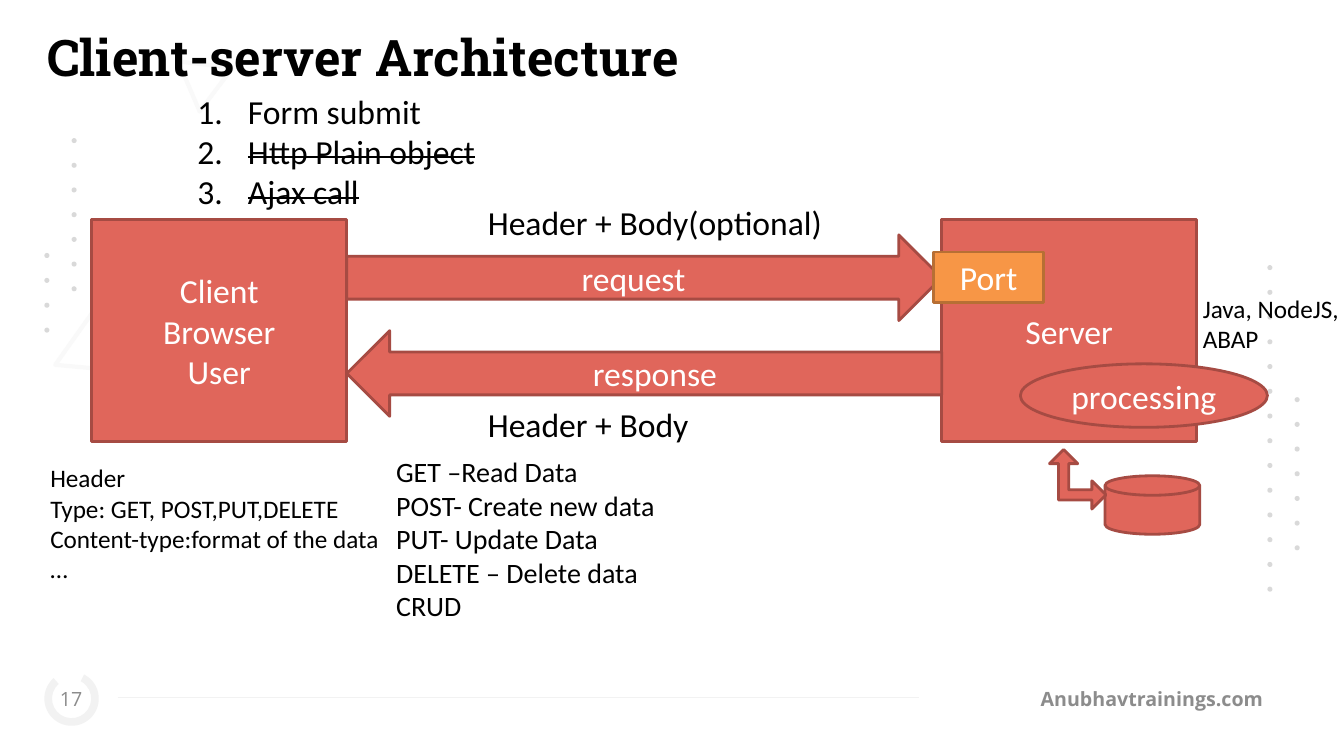
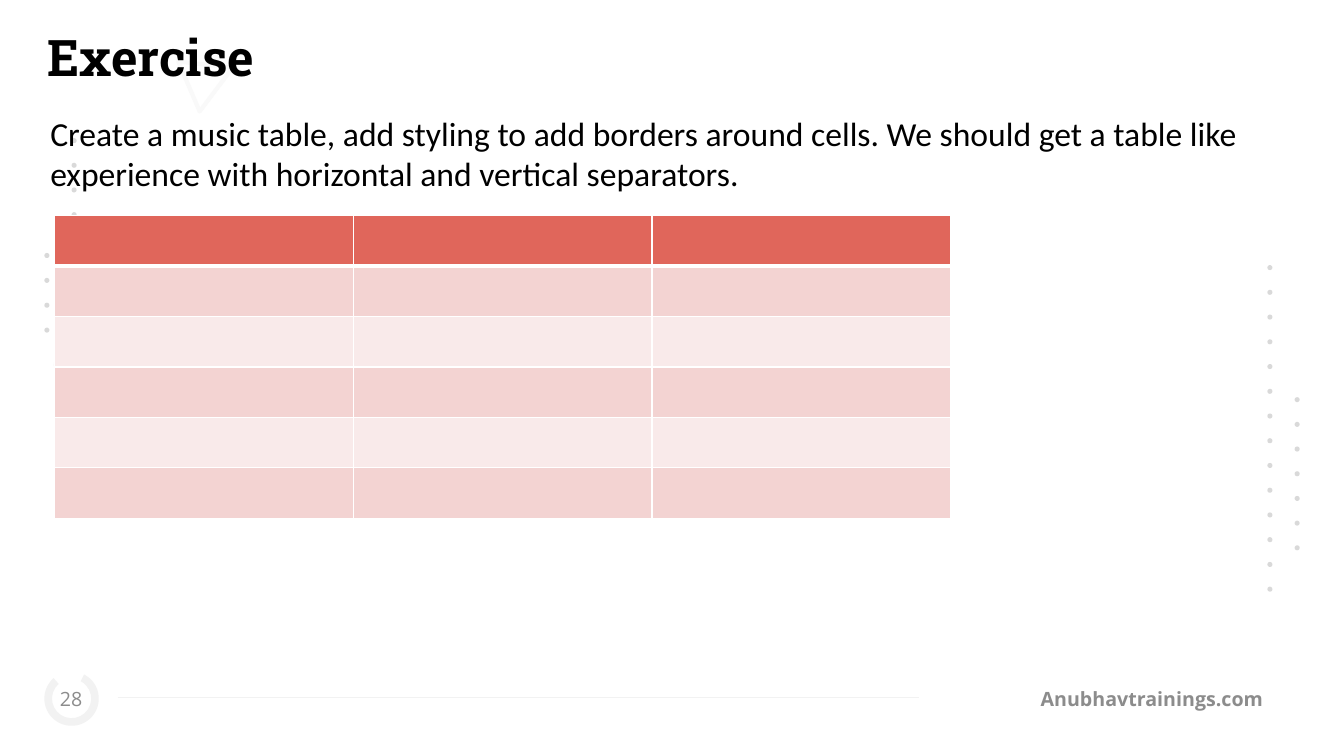
from dataclasses import dataclass

from lxml import etree
from pptx import Presentation
from pptx.dml.color import RGBColor
from pptx.enum.shapes import MSO_CONNECTOR, MSO_SHAPE
from pptx.enum.text import MSO_ANCHOR, PP_ALIGN
from pptx.oxml.ns import qn
from pptx.util import Inches, Pt


@dataclass(frozen=True)
class Theme:
    black: str = "000000"
    white: str = "FFFFFF"
    red: str = "E0665B"
    red_edge: str = "A64B43"
    orange: str = "F79646"
    orange_edge: str = "B76F34"
    band_dark: str = "F3D3D2"
    band_light: str = "F9EAEA"
    pale: str = "F2F2F2"
    dot: str = "D9D9D9"
    footer: str = "8C8C8C"
    body_font: str = "Calibri"
    title_font: str = "Roboto Slab"
    footer_font: str = "Open Sans"
    title_size: int = 36
    body_size: int = 24
    list_size: int = 20
    note_size: int = 18
    footer_size: int = 14


THEME = Theme()
SLIDE_WIDTH, SLIDE_HEIGHT = 13.33, 7.5
FOOTER = "Anubhavtrainings.com"

# Decoration: left, first top, last top, number of dots
DOT_COLUMNS = [(12.84, 3.94, 5.41, 7), (12.57, 2.63, 5.82, 14),
               (0.71, 1.37, 2.84, 7), (0.44, 2.51, 3.25, 4)]
DOT_SIZE = 0.05
# Decoration: left, top, width, height, rotation
TRIANGLES = [(1.82, 0.53, 0.54, 0.47, 66.8), (0.58, 2.92, 0.86, 0.74, 5.2)]

# Diagram grid
BOX_TOP, BOX_WIDTH, BOX_HEIGHT = 2.18, 2.53, 2.2
CLIENT_LEFT, SERVER_LEFT = 0.91, 9.34
ARROW_LEFT, ARROW_HEIGHT = CLIENT_LEFT + BOX_WIDTH, 0.85
ARROW_WIDTH = SERVER_LEFT - ARROW_LEFT
REQUEST_TOP, RESPONSE_TOP = 2.33, 3.28
CAPTION_LEFT, CAPTION_WIDTH = 4.74, 3.78
LANGUAGES_LEFT = 11.93

RED = (THEME.red, THEME.red_edge)
ORANGE = (THEME.orange, THEME.orange_edge)
DIAGRAM = [
    (MSO_SHAPE.RECTANGLE, (CLIENT_LEFT, BOX_TOP, BOX_WIDTH, BOX_HEIGHT), RED,
     ["Client", "Browser", "User"]),
    (MSO_SHAPE.RECTANGLE, (SERVER_LEFT, BOX_TOP, BOX_WIDTH, BOX_HEIGHT), RED, ["Server"]),
    (MSO_SHAPE.RIGHT_ARROW, (ARROW_LEFT, REQUEST_TOP, ARROW_WIDTH, ARROW_HEIGHT), RED,
     ["request"]),
    (MSO_SHAPE.RECTANGLE, (9.26, 2.5, 1.09, 0.5), ORANGE, ["Port"]),
    (MSO_SHAPE.OVAL, (10.12, 3.61, 2.45, 0.63), RED, ["processing"]),
    (MSO_SHAPE.FLOWCHART_MAGNETIC_DISK, (10.96, 4.72, 0.94, 0.58), RED, []),
    (MSO_SHAPE.LEFT_ARROW, (ARROW_LEFT, RESPONSE_TOP, ARROW_WIDTH, ARROW_HEIGHT), RED,
     ["response"]),
]
DATABASE_ARROW = (10.41, 4.46, 0.56, 0.59)
CAPTIONS = [
    ((CAPTION_LEFT, 1.95, CAPTION_WIDTH, 0.5), THEME.body_size, ["Header + Body(optional)"]),
    ((CAPTION_LEFT, 3.96, CAPTION_WIDTH, 0.5), THEME.body_size, ["Header + Body"]),
    ((0.4, 4.54, 3.78, 1.31), THEME.note_size,
     ["Header", "Type: GET, POST,PUT,DELETE", "Content-type:format of the data", "…"]),
    ((3.83, 4.46, 4.42, 1.78), THEME.list_size,
     ["GET –Read Data", "POST- Create new data", "PUT- Update Data",
      "DELETE – Delete data", "CRUD"]),
]
LANGUAGES = ["Java, NodeJS,", "ABAP"]
# Way to call the server, struck out
CALL_TYPES = [("Form submit", False), ("Http Plain object", True), ("Ajax call", True)]

EXERCISE = ("Create a music table, add styling to add borders around cells. We should get "
            "a table like experience with horizontal and vertical separators.")
TABLE_AREA = (0.54, 2.14, 8.89, 3)
TABLE_ROWS, TABLE_COLUMNS = 6, 3


def rgb(color):
    return RGBColor.from_string(color)


def inches(lengths):
    return [Inches(length) for length in lengths]


def write(shape, lines, size=THEME.body_size, color=THEME.black, font=THEME.body_font,
          bold=False, align=PP_ALIGN.LEFT):
    frame = shape.text_frame
    frame.text = "\n".join(lines)
    for paragraph in frame.paragraphs:
        paragraph.alignment = align
        for run in paragraph.runs:
            run.font.size = Pt(size)
            run.font.name = font
            run.font.bold = bold
            run.font.color.rgb = rgb(color)


def add_text(slide, area, lines, anchor=MSO_ANCHOR.TOP, insets=(0.1, 0.05), **style):
    """Add a wrapping text box; insets are the side and the top and bottom margins."""
    box = slide.shapes.add_textbox(*inches(area))
    frame = box.text_frame
    frame.word_wrap = True
    frame.vertical_anchor = anchor
    frame.margin_left = frame.margin_right = Inches(insets[0])
    frame.margin_top = frame.margin_bottom = Inches(insets[1])
    write(box, lines, **style)
    return box


def add_shape(slide, preset, area, fill=None, edge=None, edge_width=2):
    shape = slide.shapes.add_shape(preset, *inches(area))
    shape.shadow.inherit = False
    if fill:
        shape.fill.solid()
        shape.fill.fore_color.rgb = rgb(fill)
    else:
        shape.fill.background()
    if edge:
        shape.line.color.rgb = rgb(edge)
        shape.line.width = Pt(edge_width)
    else:
        shape.line.fill.background()
    return shape


def add_decoration(slide):
    ring = add_shape(slide, MSO_SHAPE.BLOCK_ARC, (0.44, 6.66, 0.54, 0.54), THEME.pale)
    ring.rotation = 228.7
    for index, value in enumerate((41.31, 0, 0.14)):
        ring.adjustments[index] = value

    rule = slide.shapes.add_connector(MSO_CONNECTOR.STRAIGHT, *inches((1.17, 6.92, 9.11, 6.92)))
    rule.line.color.rgb = rgb(THEME.pale)
    rule.line.width = Pt(0.75)
    etree.SubElement(rule._element.spPr, qn("a:effectLst"))

    for *area, rotation in TRIANGLES:
        triangle = add_shape(slide, MSO_SHAPE.ISOSCELES_TRIANGLE, area,
                             edge=THEME.dot, edge_width=3)
        triangle.rotation = rotation
        color = triangle._element.spPr.find(".//" + qn("a:ln")).find(".//" + qn("a:srgbClr"))
        etree.SubElement(color, qn("a:alpha"), val="14000")

    for left, first, last, count in DOT_COLUMNS:
        step = (last - first) / (count - 1)
        for index in range(count):
            add_shape(slide, MSO_SHAPE.OVAL,
                      (left, first + index * step, DOT_SIZE, DOT_SIZE), THEME.dot)


def add_base_slide(presentation, title, number):
    """Add a slide with the shared decoration, footer, number and title."""
    slide = presentation.slides.add_slide(presentation.slide_layouts[6])
    add_decoration(slide)
    footer_style = dict(anchor=MSO_ANCHOR.MIDDLE, size=THEME.footer_size,
                        color=THEME.footer, font=THEME.footer_font)
    add_text(slide, (9.26, 6.73, 3.4, 0.4), [FOOTER], insets=(0.13, 0.07),
             bold=True, align=PP_ALIGN.RIGHT, **footer_style)
    add_text(slide, (0.5, 6.73, 0.41, 0.4), [str(number)], insets=(0, 0.07),
             align=PP_ALIGN.CENTER, **footer_style)
    add_text(slide, (0.37, 0.21, 12.52, 0.71), [title], size=THEME.title_size,
             font=THEME.title_font, bold=True)
    return slide


def add_call_types(slide):
    box = add_text(slide, (1.86, 0.85, 4.18, 1.31), [text for text, _ in CALL_TYPES])
    for paragraph, (_, struck) in zip(box.text_frame.paragraphs, CALL_TYPES):
        properties = paragraph._p.get_or_add_pPr()
        properties.set("marL", str(Inches(0.5)))
        properties.set("indent", str(-Inches(0.5)))
        etree.SubElement(properties, qn("a:buFont"), typeface="+mj-lt")
        etree.SubElement(properties, qn("a:buAutoNum"), type="arabicPeriod")
        if struck:
            paragraph.runs[0].font._element.set("strike", "sngStrike")


def build_architecture(presentation):
    slide = add_base_slide(presentation, "Client-server Architecture", 17)
    for preset, area, colors, lines in DIAGRAM:
        shape = add_shape(slide, preset, area, *colors)
        shape.text_frame.vertical_anchor = MSO_ANCHOR.MIDDLE
        if lines:
            write(shape, lines, color=THEME.white, align=PP_ALIGN.CENTER)

    arrow = add_shape(slide, MSO_SHAPE.LEFT_UP_ARROW, DATABASE_ARROW, *RED)
    arrow.adjustments[0] = 0.18
    arrow._element.spPr.find(qn("a:xfrm")).set("flipH", "1")

    for area, size, lines in CAPTIONS:
        add_text(slide, area, lines, size=size)
    add_text(slide, (LANGUAGES_LEFT, 2.86, SLIDE_WIDTH - LANGUAGES_LEFT, 0.71), LANGUAGES,
             insets=(0, 0.05), size=THEME.note_size)
    add_call_types(slide)


def set_borders(cell, top, bottom):
    """Draw white cell borders; the widths are in points."""
    properties = cell._tc.get_or_add_tcPr()
    sides = [("L", 1), ("R", 1), ("T", top), ("B", bottom)]
    for index, (side, width) in enumerate(sides):
        line = etree.Element(qn("a:ln" + side), w=str(Pt(width)))
        fill = etree.SubElement(line, qn("a:solidFill"))
        etree.SubElement(fill, qn("a:srgbClr"), val=THEME.white)
        properties.insert(index, line)


def build_exercise(presentation):
    slide = add_base_slide(presentation, "Exercise", 28)
    add_text(slide, (0.4, 1.07, 12.52, 0.91), [EXERCISE])
    table = slide.shapes.add_table(TABLE_ROWS, TABLE_COLUMNS, *inches(TABLE_AREA)).table
    bands = (THEME.band_light, THEME.band_dark)
    for row_index, row in enumerate(table.rows):
        for cell in row.cells:
            cell.fill.solid()
            cell.fill.fore_color.rgb = rgb(bands[row_index % 2] if row_index else THEME.red)
            set_borders(cell, top=3 if row_index == 1 else 1, bottom=1 if row_index else 3)


def main():
    presentation = Presentation()
    presentation.slide_width = Inches(SLIDE_WIDTH)
    presentation.slide_height = Inches(SLIDE_HEIGHT)
    build_architecture(presentation)
    build_exercise(presentation)
    presentation.save("out.pptx")


if __name__ == "__main__":
    main()
